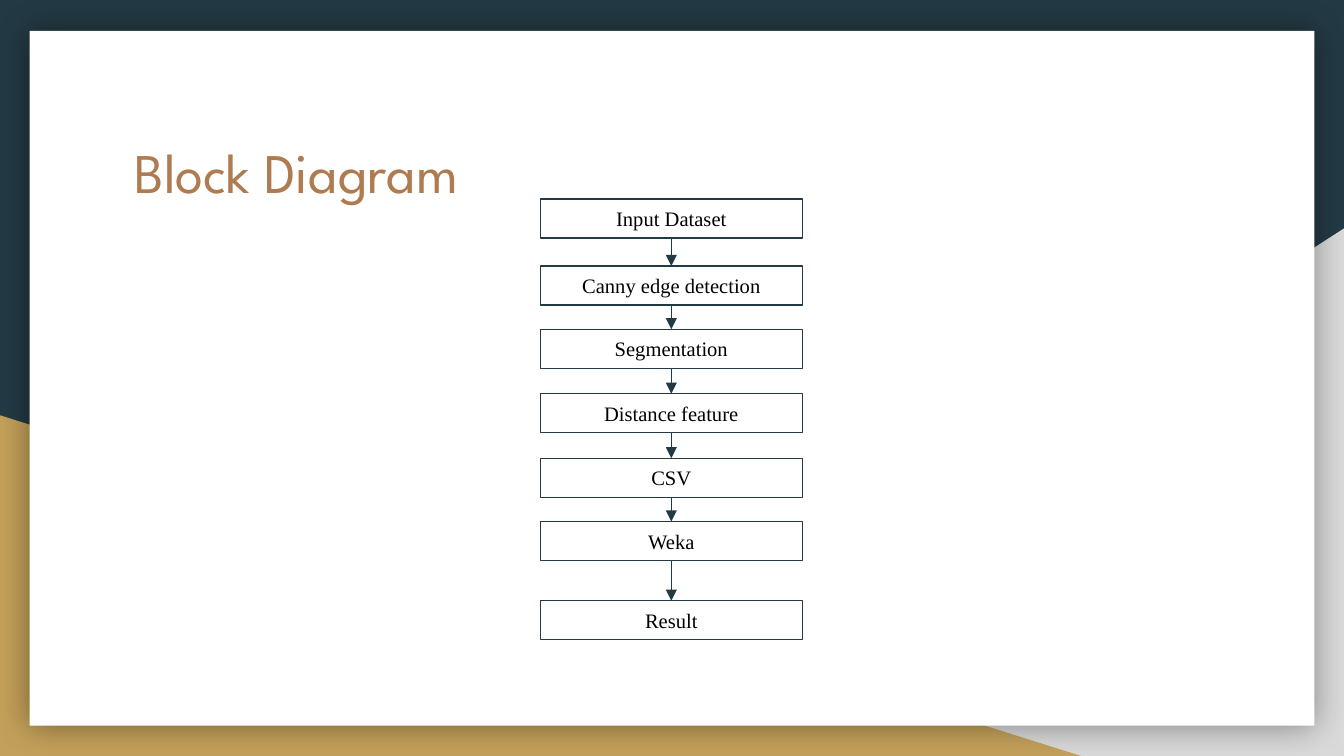
from itertools import pairwise

from lxml import etree
from pptx import Presentation
from pptx.dml.color import RGBColor
from pptx.enum import shapes, text
from pptx.oxml import ns, parse_xml
from pptx.util import Inches, Pt

COLORS = {
    "navy": "233A44",
    "gray": "D9D9D9",
    "gold": "C4A15A",
    "white": "FFFFFF",
    "copper": "AF7B51",
    "black": "000000",
}
TITLE_FONT = {"name": "League Spartan", "size": Pt(30), "bold": False}
STEP_FONT = {"name": "Times New Roman", "size": Pt(11)}
FRAME = {
    "word_wrap": True,
    "auto_size": text.MSO_AUTO_SIZE.NONE,
    "margin_left": Inches(0.1),
    "margin_right": Inches(0.1),
    "margin_top": Inches(0.1),
    "margin_bottom": Inches(0.1),
}

# Each step of the flow with the top of its box, in inches
STEPS = [
    ("Input Dataset", 1.48),
    ("Canny edge detection", 1.98),
    ("Segmentation", 2.45),
    ("Distance feature", 2.93),
    ("CSV", 3.41),
    ("Weka", 3.88),
    ("Result", 4.47),
]
STEP_LEFT, STEP_WIDTH, STEP_HEIGHT = 4.02, 1.95, 0.29


def color(name):
    return RGBColor.from_string(COLORS[name])


def apply(target, values):
    for name, value in values.items():
        setattr(target, name, value)


def write(shape, words, font, font_color, alignment, anchor):
    frame = shape.text_frame
    apply(frame, FRAME)
    frame.vertical_anchor = anchor
    paragraph = frame.paragraphs[0]
    paragraph.alignment = alignment
    run = paragraph.add_run()
    run.text = words
    apply(run.font, font)
    run.font.color.rgb = color(font_color)


def add_panel(slide, kind, box, fill):
    shape = slide.shapes.add_shape(kind, *map(Inches, box))
    shape.shadow.inherit = False
    shape.fill.solid()
    shape.fill.fore_color.rgb = color(fill)
    shape.line.fill.background()
    return shape


def add_glow(shape):
    effects = shape._element.spPr.find(ns.qn("a:effectLst"))
    effects.append(parse_xml(
        f'<a:outerShdw {ns.nsdecls("a")} blurRad="{Pt(18)}" dist="0" dir="0" '
        f'algn="ctr" rotWithShape="0"><a:srgbClr val="{COLORS["black"]}">'
        '<a:alpha val="40000"/></a:srgbClr></a:outerShdw>'))


def add_background(slide):
    slide.background.fill.solid()
    slide.background.fill.fore_color.rgb = color("navy")
    triangle = shapes.MSO_SHAPE.RIGHT_TRIANGLE
    corner = add_panel(slide, triangle, (3.92, 1.7, 6.08, 3.93), "gray")
    corner._element.spPr.xfrm.set("flipH", "1")
    add_panel(slide, triangle, (0, 3.09, 8.06, 2.54), "gold")
    card = add_panel(slide, shapes.MSO_SHAPE.RECTANGLE,
                     (0.22, 0.23, 9.56, 5.17), "white")
    add_glow(card)


def add_title(slide, words):
    title = slide.shapes.title
    apply(title, {"left": Inches(0.9), "top": Inches(0.92),
                  "width": Inches(8.21), "height": Inches(1.04)})
    write(title, words, TITLE_FONT, "copper",
          text.PP_ALIGN.LEFT, text.MSO_ANCHOR.TOP)
    # Bring the title in front of the card
    slide.shapes._spTree.append(title._element)


def add_step(slide, words, top):
    box = add_panel(slide, shapes.MSO_SHAPE.RECTANGLE,
                    (STEP_LEFT, top, STEP_WIDTH, STEP_HEIGHT), "white")
    box.line.color.rgb = color("navy")
    box.line.width = Pt(0.75)
    write(box, words, STEP_FONT, "black",
          text.PP_ALIGN.CENTER, text.MSO_ANCHOR.MIDDLE)
    return box


def add_arrow(slide, upper, lower):
    arrow = slide.shapes.add_connector(shapes.MSO_CONNECTOR.STRAIGHT, 0, 0, 0, 0)
    # Rectangle connection sites: 2 is the bottom, 0 is the top
    arrow.begin_connect(upper, 2)
    arrow.end_connect(lower, 0)
    arrow.line.color.rgb = color("navy")
    arrow.line.width = Pt(0.75)
    etree.SubElement(arrow.line._get_or_add_ln(), ns.qn("a:tailEnd"),
                     type="triangle", w="med", len="med")
    etree.SubElement(arrow._element.spPr, ns.qn("a:effectLst"))


def main():
    presentation = Presentation()
    # Widescreen 16:9
    presentation.slide_width = Inches(10)
    presentation.slide_height = Inches(10) * 9 // 16
    slide = presentation.slides.add_slide(presentation.slide_layouts[5])

    add_background(slide)
    add_title(slide, "Block Diagram")

    # Flow of steps joined by arrows
    boxes = [add_step(slide, words, top) for words, top in STEPS]
    for upper, lower in pairwise(boxes):
        add_arrow(slide, upper, lower)

    presentation.save("out.pptx")


if __name__ == "__main__":
    main()
